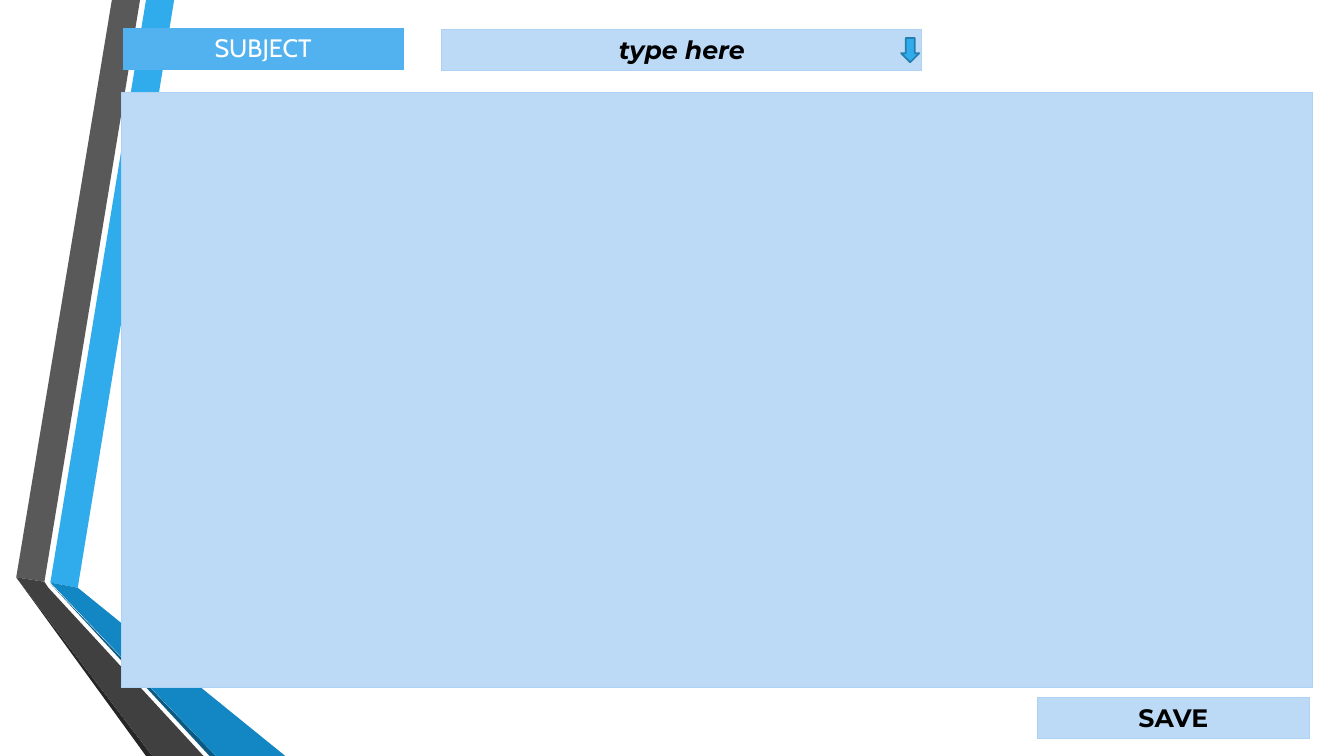
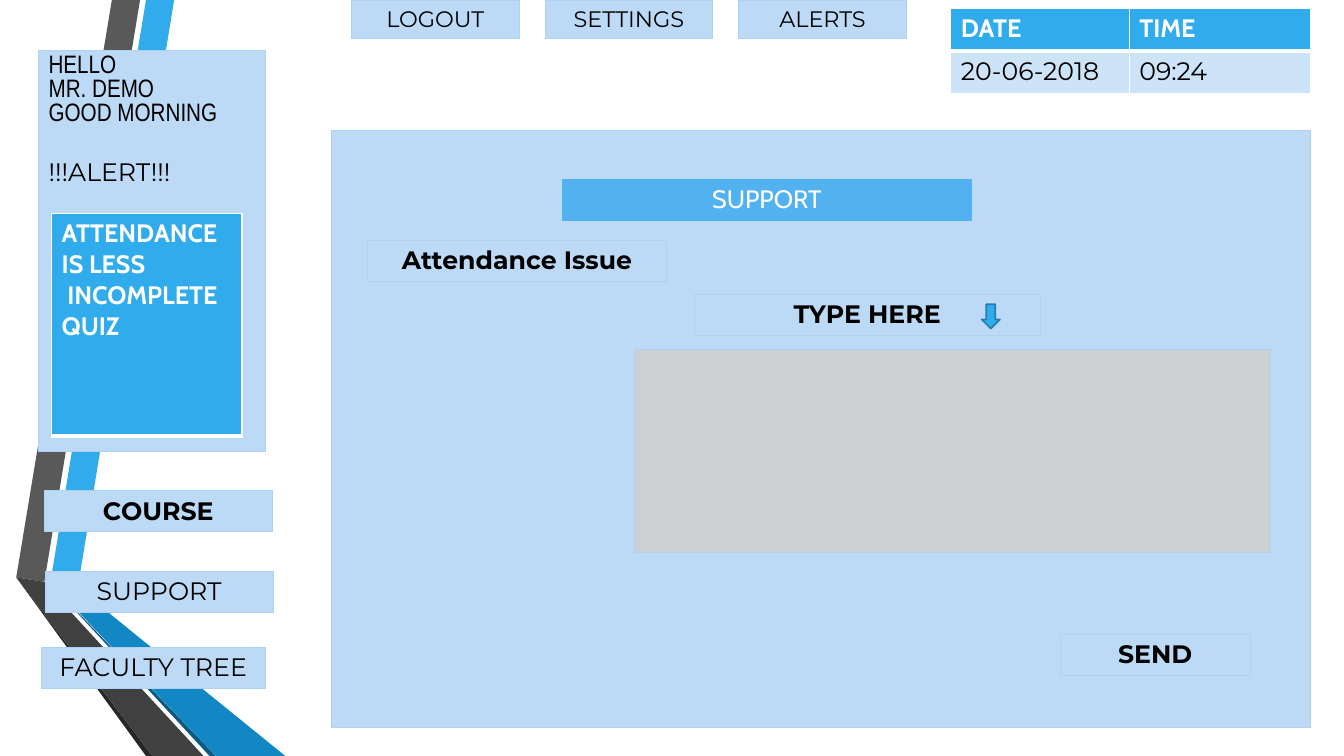
from dataclasses import dataclass, replace

from lxml.etree import SubElement
from pptx import Presentation
from pptx.dml.color import RGBColor
from pptx.enum.shapes import MSO_SHAPE
from pptx.enum.text import PP_ALIGN
from pptx.oxml.ns import qn
from pptx.util import Cm, Pt

BLUE = "30ACEC"
BANDS = [
    (BLUE, [(1.27, 14.68), (1.96, 14.81), (4.39, 0), (3.68, 0)]),
    ("595959", [(3.53, 0), (2.82, 0), (0.41, 14.55), (1.12, 14.66)]),
    ("262626", [(0.41, 14.55), (3.68, 19.05), (3.84, 19.05)]),
    ("0C5A82", [(1.27, 14.71), (5.28, 19.05), (5.44, 19.05)]),
    ("1287C3", [(1.27, 14.68), (5.44, 19.05), (7.19, 19.05), (1.96, 14.81)]),
    ("404040", [(0.41, 14.55), (3.84, 19.05), (5.13, 19.05), (1.22, 14.81),
                (1.12, 14.66)]),
]


@dataclass(frozen=True)
class Look:
    fill: str = "BCDAF6"
    edge: str = "AED2F4"
    line: float = 0.75
    heavy: float = 0.75
    font: str = "Montserrat"
    color: str = "000000"
    size: int = 18
    bold: bool = False
    slant: bool = False
    align: PP_ALIGN = PP_ALIGN.CENTER


PLAIN = Look()
STRONG = replace(PLAIN, bold=True)
PROMPT = replace(STRONG, slant=True)
MENU = replace(PLAIN, size=16)
TITLE = Look(fill="52B1EF", edge="52B1EF", font="Cabin", color="FFFFFF")
HELLO = replace(PLAIN, font="Arial Narrow", align=PP_ALIGN.LEFT)
HEAD = Look(fill=BLUE, edge="FFFFFF", line=1, heavy=3, font="Cabin",
            color="FFFFFF", bold=True, align=PP_ALIGN.LEFT)
BODY = replace(HEAD, fill="CDE3F8", font="Montserrat", color="000000",
               bold=False)
GREY = replace(PLAIN, fill="CDD0D1")


def rgb(code):
    return RGBColor.from_string(code)


class Deck:
    def __init__(self):
        self.prs = Presentation()
        self.prs.slide_width = Cm(33.87)
        self.prs.slide_height = Cm(19.05)
        self.blank = self.prs.slide_layouts[6]
        self.slide = None

    def page(self):
        self.slide = self.prs.slides.add_slide(self.blank)

    def bands(self):
        tree = self.blank.shapes.element
        for holder in list(self.blank.placeholders):
            tree.remove(holder.element)
        drawn = [self.band(code, spots) for code, spots in BANDS]
        for shape in drawn:
            tree.append(shape.element)

    def band(self, code, spots):
        first, *rest = [(Cm(x), Cm(y)) for x, y in spots]
        pen = self.slide.shapes.build_freeform(*first, scale=1.0)
        pen.add_line_segments(rest, close=True)
        shape = pen.convert_to_shape()
        shape.shadow.inherit = False
        shape.fill.solid()
        shape.fill.fore_color.rgb = rgb(code)
        shape.line.fill.background()
        return shape

    def table(self, left, top, cols, high, rows, looks):
        frame = self.slide.shapes.add_table(
            len(rows), len(cols), Cm(left), Cm(top), Cm(sum(cols)),
            Cm(high * len(rows)))
        grid = frame.table
        grid.first_row = grid.horz_banding = False
        for col, wide in zip(grid.columns, cols):
            col.width = Cm(wide)
        for r, (row, look) in enumerate(zip(rows, looks)):
            for c, text in enumerate(row):
                cell = grid.cell(r, c)
                self.edges(cell, look, "T" if r else "B")
                cell.fill.solid()
                cell.fill.fore_color.rgb = rgb(look.fill)
                self.label(cell.text_frame, text, look)
        return grid

    def box(self, left, top, wide, high, text="", look=PLAIN):
        grid = self.table(left, top, [wide], high, [[text]], [look])
        return grid.cell(0, 0).text_frame

    def edges(self, cell, look, thick):
        props = cell._tc.get_or_add_tcPr()
        for side in "LRTB":
            width = look.heavy if side == thick else look.line
            line = SubElement(props, qn(f"a:ln{side}"), w=str(Pt(width)))
            fill = SubElement(line, qn("a:solidFill"))
            SubElement(fill, qn("a:srgbClr"), val=look.edge)

    def label(self, frame, text, look):
        frame.text = text
        for para in frame.paragraphs:
            para.alignment = look.align
            for run in para.runs:
                font = run.font
                font.name = look.font
                font.size = Pt(look.size)
                font.bold = look.bold
                font.italic = look.slant
                font.color.rgb = rgb(look.color)

    def arrow(self, left, top):
        shape = self.slide.shapes.add_shape(
            MSO_SHAPE.DOWN_ARROW, Cm(left), Cm(top), Cm(0.46), Cm(0.61))
        shape.shadow.inherit = False
        shape.fill.solid()
        shape.fill.fore_color.rgb = rgb(BLUE)
        shape.line.color.rgb = rgb("247FAF")
        shape.line.width = Pt(1.25)


def subject(deck):
    deck.page()
    deck.bands()
    deck.box(3.07, 2.33, 30, 15)
    deck.box(11.13, 0.75, 12.1, 1.02, "type here", PROMPT)
    deck.box(3.1, 0.71, 7.06, 1.02, "SUBJECT", TITLE)
    deck.arrow(22.71, 0.96)
    deck.box(26.14, 17.58, 6.86, 1.02, "SAVE", STRONG)


def support(deck):
    deck.page()
    deck.box(8.36, 3.28, 24.67, 15.04)
    deck.table(23.96, 0.21, [4.5, 4.57], 1.07,
               [["DATE", "TIME"], ["20-06-2018", "09:24"]], [HEAD, BODY])
    hello = deck.box(0.97, 1.27, 5.72, 10.11,
                     "HELLO\nMR. DEMO\nGOOD MORNING\n!!!ALERT!!!", HELLO)
    alert = hello.paragraphs[-1]
    alert.space_before = Pt(22)
    alert.runs[0].font.name = PLAIN.font
    for i, text in enumerate(["LOGOUT", "SETTINGS", "ALERTS"]):
        deck.box(8.86 + 4.88 * i, 0.02, 4.22, 0.94, text, MENU)
    deck.box(14.17, 4.52, 10.31, 1.02, "SUPPORT", TITLE)
    deck.box(9.27, 6.05, 7.52, 1.02, "Attendance Issue", STRONG)
    deck.box(15.98, 8.81, 16.03, 5.11, look=GREY)
    deck.box(26.72, 15.98, 4.78, 1.02, "SEND", STRONG)
    deck.box(17.5, 7.42, 8.71, 1.02, "TYPE HERE", STRONG)
    deck.arrow(24.74, 7.67)
    deck.box(1.12, 12.37, 5.74, 1.02, "COURSE", STRONG)
    deck.box(1.04, 16.31, 5.64, 1.02, "FACULTY TREE")
    deck.box(1.14, 14.4, 5.74, 1.02, "SUPPORT")
    deck.box(1.3, 5.38, 4.8, 5.61,
             "ATTENDANCE IS LESS\n INCOMPLETE QUIZ", HEAD)


def main():
    deck = Deck()
    subject(deck)
    support(deck)
    deck.prs.save("out.pptx")


if __name__ == "__main__":
    main()
